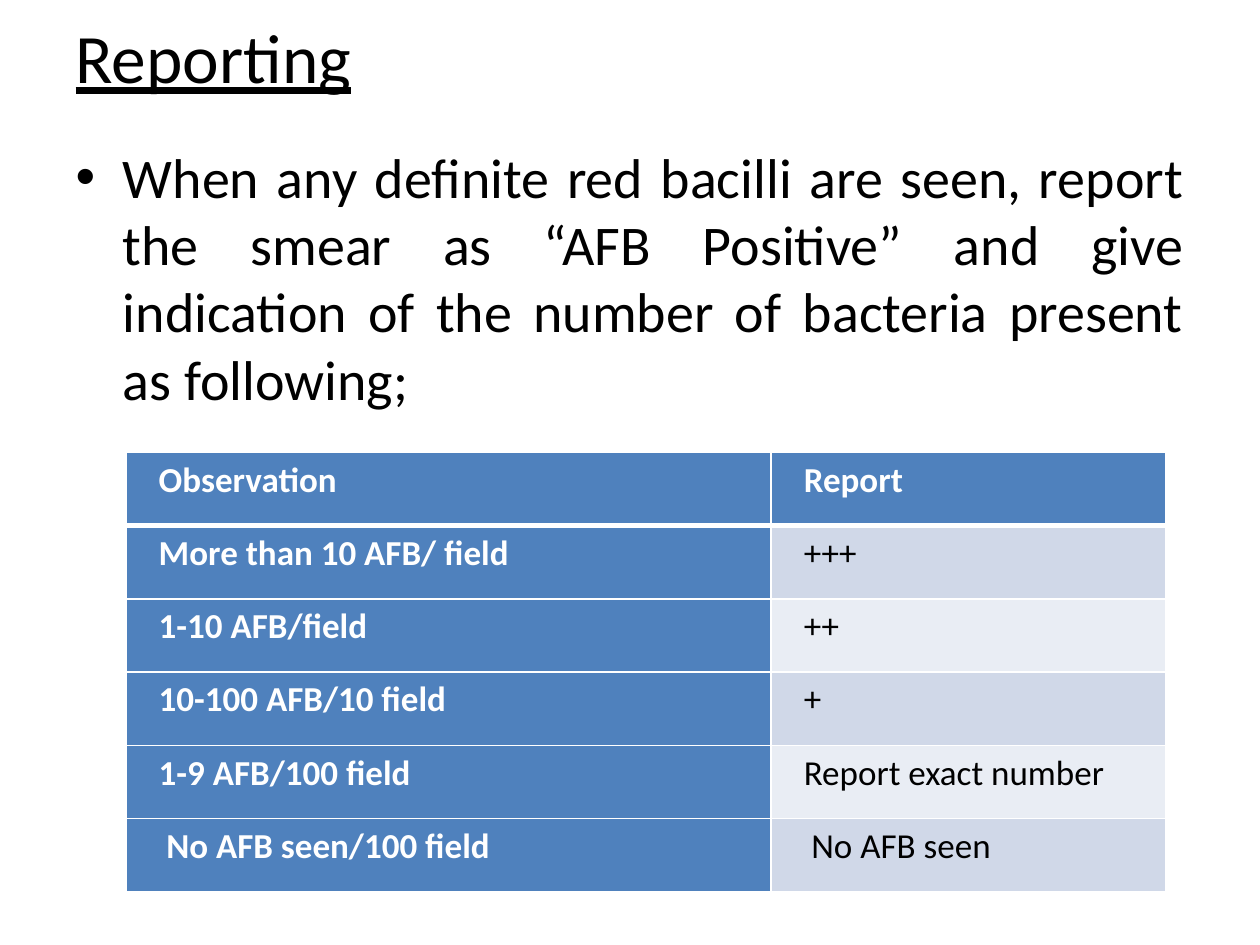
from lxml import etree
from pptx import Presentation
from pptx.dml.color import RGBColor
from pptx.enum import text
from pptx.oxml.ns import qn
from pptx.util import Inches, Pt

TITLE = "Reporting"
BODY = ("When any definite red bacilli are seen, report the smear as “AFB Positive” "
        "and give indication of the number of bacteria present as following;")
ROWS = [
    ("Observation", "Report"),
    ("More than 10 AFB/ field", "+++"),
    ("1-10 AFB/field", "++"),
    ("10-100 AFB/10 field", "+"),
    ("1-9 AFB/100 field", "Report exact number"),
    ("No AFB seen/100 field", "No AFB seen"),
]
COL_WIDTHS = (5.12, 3.13)
TABLE_HEIGHT = 3.49
COLORS = {"black": "000000", "white": "FFFFFF", "head": "4F81BD",
          "odd": "D0D8E8", "even": "E9EDF4"}


def rgb(name):
    return RGBColor.from_string(COLORS[name])


def set_font(p, size, color, bold=False):
    p.font.name = "Calibri"
    p.font.size = Pt(size)
    p.font.bold = bold
    p.font.color.rgb = rgb(color)


def place(sp, left, top, width, height):
    sp.left, sp.top, sp.width, sp.height = map(Inches, (left, top, width, height))


def set_borders(cell, widths):
    """Draw white cell borders; widths maps side tags to points."""
    tc_pr = cell._tc.get_or_add_tcPr()
    for i, (side, width) in enumerate(widths.items()):
        ln = etree.Element(qn(f"a:{side}"), w=str(Pt(width)))
        fill = etree.SubElement(ln, qn("a:solidFill"))
        etree.SubElement(fill, qn("a:srgbClr"), val=COLORS["white"])
        tc_pr.insert(i, ln)


def fill_cell(cell, words, row, col):
    is_head = row == 0 or col == 0
    cell.fill.solid()
    cell.fill.fore_color.rgb = rgb("head" if is_head else "odd" if row % 2 else "even")
    cell.margin_left = cell.margin_right = Inches(0.07)
    cell.margin_top = cell.margin_bottom = 0
    p = cell.text_frame.paragraphs[0]
    p.text = words
    p.alignment = text.PP_ALIGN.JUSTIFY
    p.line_spacing = 1.15
    is_last = row == len(ROWS) - 1
    p._p.get_or_add_pPr().set("marL", str(Inches(0.25 if is_last else 0.19)))
    set_font(p, 20, "white" if is_head else "black", is_head)
    set_borders(cell, {"lnL": 1, "lnR": 1, "lnT": 3 if row == 1 else 1,
                       "lnB": 3 if row == 0 else 1})


prs = Presentation()
prs.slide_width, prs.slide_height = Inches(10), Inches(7.5)
s = prs.slides.add_slide(prs.slide_layouts[1])

title, body = s.placeholders
place(title, 0.5, 0.3, 9, 0.95)
tf = title.text_frame
tf.text = TITLE
tf.vertical_anchor = text.MSO_ANCHOR.MIDDLE
tf.margin_bottom = Inches(0.71)
p = tf.paragraphs[0]
p.alignment = text.PP_ALIGN.LEFT
set_font(p, 39.6, "black")
p.font.underline = True

place(body, 0.5, 1.08, 9, 5.62)
body.text_frame.text = BODY
p = body.text_frame.paragraphs[0]
p.alignment = text.PP_ALIGN.JUSTIFY
set_font(p, 32, "black")

table = s.shapes.add_table(len(ROWS), len(COL_WIDTHS), Inches(1), Inches(3.59),
                           Inches(sum(COL_WIDTHS)), Inches(TABLE_HEIGHT)).table
for column, width in zip(table.columns, COL_WIDTHS):
    column.width = Inches(width)
for r, row in enumerate(ROWS):
    for c, words in enumerate(row):
        fill_cell(table.cell(r, c), words, r, c)

prs.save("out.pptx")
